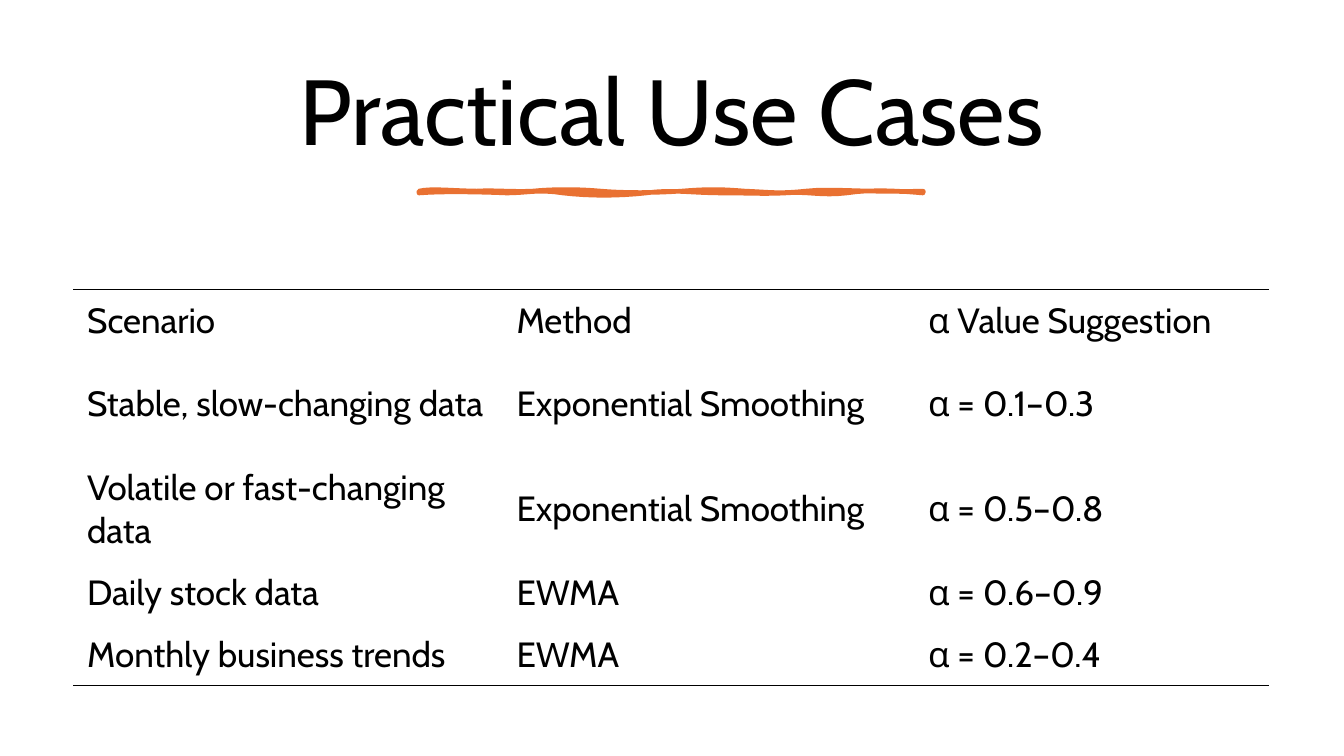
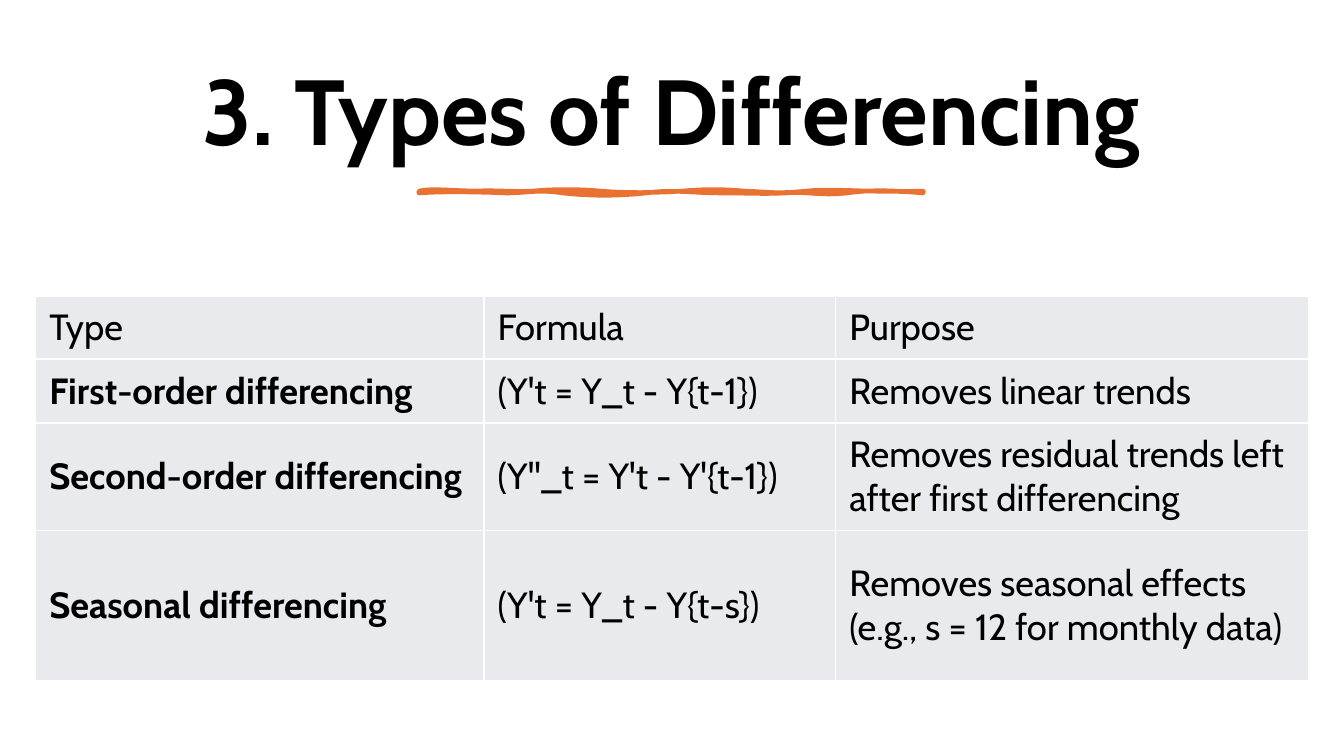
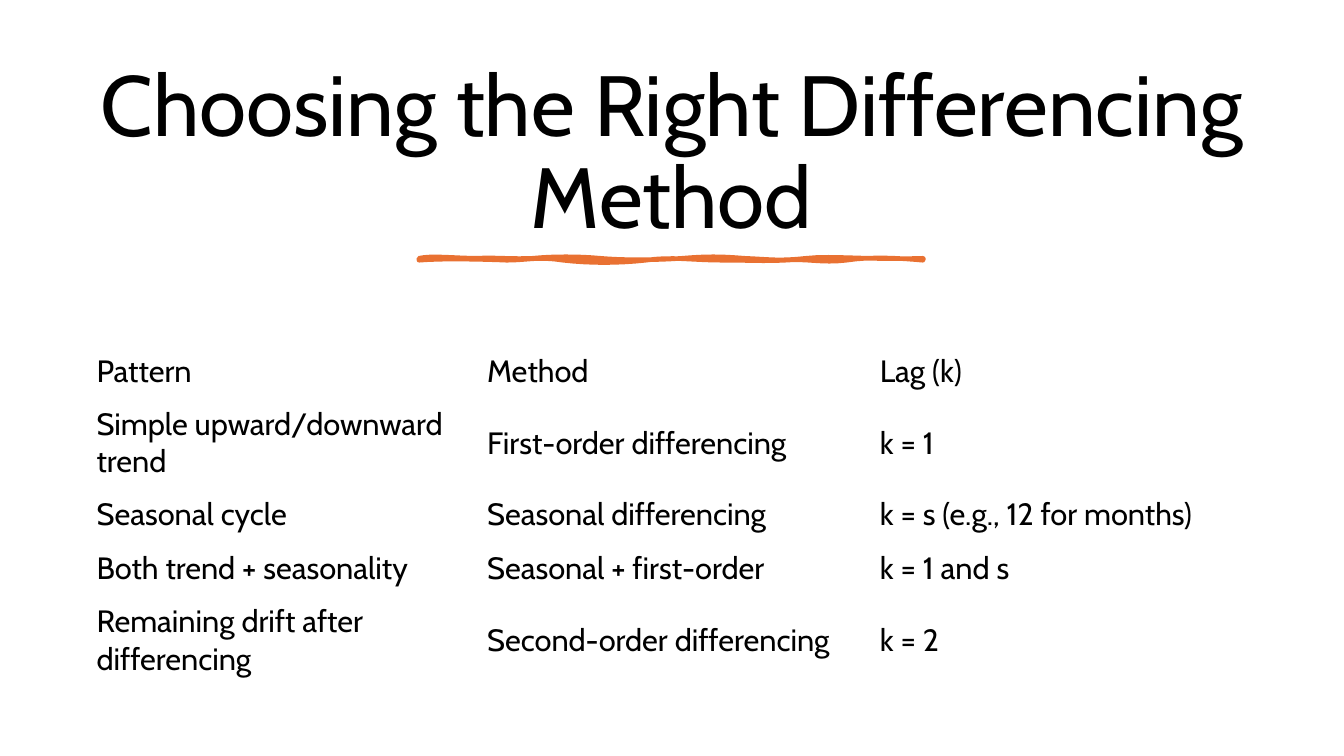
from dataclasses import dataclass

from pptx import Presentation
from pptx.dml.color import RGBColor
from pptx.enum.text import MSO_ANCHOR, PP_ALIGN
from pptx.oxml import parse_xml
from pptx.oxml.ns import nsdecls, qn
from pptx.util import Pt

PX = 9525  # EMU per px, 96 px to the inch
NO_STYLE = "{2D5ABB26-0587-4C30-8999-92F81FD0307C}"

# Brush stroke outline: cubic segments in hundredths of an inch from its corner
STROKE_START = (0, 0)
STROKE = [
    (12, -3, 38, 0, 57, 0), (76, -1, 93, 1, 113, 0),
    (133, -2, 158, -2, 180, 0), (201, 2, 237, 2, 261, 0),
    (286, -2, 298, -2, 323, 0), (347, 1, 358, 3, 384, 0),
    (410, -3, 451, 2, 500, 0), (501, 1, 500, 1, 500, 2),
    (479, 0, 449, -2, 424, 2), (399, 5, 385, 0, 363, 2),
    (340, 3, 331, 2, 301, 2), (271, 2, 251, -2, 225, 2),
    (198, 5, 169, 5, 143, 2), (118, -2, 107, 2, 87, 2),
    (67, 1, 22, 0, 0, 2), (0, 1, 0, 0, 0, 0),
]


@dataclass(frozen=True)
class Theme:
    font: str = "Cabin"
    text: str = "000000"
    accent: str = "E97132"
    panel: str = "E8EAED"
    grid: str = "FFFFFF"
    title_size: int = 66
    long_title_size: int = 61
    stroke_width: float = 3.25
    border_width: int = 1


def stroke_points(steps=8):
    """Sample the cubic segments of the brush stroke."""
    x0, y0 = STROKE_START
    for x1, y1, x2, y2, x3, y3 in STROKE:
        for i in range(1, steps + 1):
            t = i / steps
            u = 1 - t
            a, b, c, d = u ** 3, 3 * u * u * t, 3 * u * t * t, t ** 3
            yield (a * x0 + b * x1 + c * x2 + d * x3,
                   a * y0 + b * y1 + c * y2 + d * y3)
        x0, y0 = x3, y3


class Deck:
    def __init__(self, theme):
        self.theme = theme
        self.prs = Presentation()
        self.prs.slide_width, self.prs.slide_height = 1280 * PX, 720 * PX
        self.s = None

    def slide(self):
        self.s = self.prs.slides.add_slide(self.prs.slide_layouts[6])

    def style(self, p, size, bold=False):
        for r in p.runs:
            r.font.name, r.font.size, r.font.bold = self.theme.font, Pt(size), bold
            r.font.color.rgb = RGBColor.from_string(self.theme.text)

    def title(self, text, size, top=44, height=132, anchor=MSO_ANCHOR.MIDDLE, bold=False):
        sp = self.s.shapes.add_textbox(67 * PX, top * PX, 1145 * PX, height * PX)
        tf = sp.text_frame
        tf.word_wrap = True
        tf.vertical_anchor = anchor
        p = tf.paragraphs[0]
        p.text = text
        p.alignment = PP_ALIGN.CENTER
        p.line_spacing = 0.9
        self.style(p, size, bold)

    def underline(self, top, left=399):
        unit = PX * 96 / 100
        points = [(left * PX + x * unit, top * PX + y * unit) for x, y in stroke_points()]
        fb = self.s.shapes.build_freeform(left * PX, top * PX, scale=1.0)
        fb.add_line_segments(points, close=True)
        sp = fb.convert_to_shape()
        sp.shadow.inherit = False
        color = RGBColor.from_string(self.theme.accent)
        sp.fill.solid()
        sp.fill.fore_color.rgb = color
        sp.line.color.rgb = color
        sp.line.width = Pt(self.theme.stroke_width)

    def border(self, cell, sides, color):
        # The schema wants the sides in the order L, R, T, B
        for side in sides:
            cell._tc.get_or_add_tcPr().append(parse_xml(
                f'<a:ln{side} {nsdecls("a")} w="{Pt(self.theme.border_width)}"><a:solidFill>'
                f'<a:srgbClr val="{color}"/></a:solidFill></a:ln{side}>'))

    def table(self, left, top, cols, heights, rows, size, inset=(13, 7),
              fill=None, rules=False, bold_first=False):
        frame = self.s.shapes.add_table(len(rows), len(cols), left * PX, top * PX,
                                        sum(cols) * PX, sum(heights) * PX)
        tbl = frame.table
        tbl.first_row = tbl.horz_banding = False
        tbl._tbl.tblPr.find(qn("a:tableStyleId")).text = NO_STYLE
        for col, width in zip(tbl.columns, cols):
            col.width = width * PX
        for i, (row, height) in enumerate(zip(rows, heights)):
            tbl.rows[i].height = height * PX
            for j, text in enumerate(row):
                cell = tbl.cell(i, j)
                cell.margin_left = cell.margin_right = inset[0] * PX
                cell.margin_top = cell.margin_bottom = inset[1] * PX
                cell.vertical_anchor = MSO_ANCHOR.MIDDLE
                if rules and i in (0, len(rows) - 1):
                    self.border(cell, "B" if i else "T", self.theme.text)
                if fill:
                    self.border(cell, "LRTB", self.theme.grid)
                    cell.fill.solid()
                    cell.fill.fore_color.rgb = RGBColor.from_string(fill)
                else:
                    cell.fill.background()
                p = cell.text_frame.paragraphs[0]
                p.text = text
                self.style(p, size, bold_first and i > 0 and j == 0)


def main():
    theme = Theme()
    deck = Deck(theme)

    # Practical use cases
    deck.slide()
    deck.title("Practical Use Cases", theme.title_size)
    deck.underline(182)
    deck.table(70, 276, (409, 392, 338), (59, 100, 100, 59, 59), [
        ("Scenario", "Method", "α Value Suggestion"),
        ("Stable, slow-changing data", "Exponential Smoothing", "α = 0.1–0.3"),
        ("Volatile or fast-changing data", "Exponential Smoothing", "α = 0.5–0.8"),
        ("Daily stock data", "EWMA", "α = 0.6–0.9"),
        ("Monthly business trends", "EWMA", "α = 0.2–0.4"),
    ], 25, rules=True)

    # Types of differencing
    deck.slide()
    deck.title("3. Types of Differencing", theme.title_size, bold=True)
    deck.underline(182)
    deck.table(34, 282, (427, 335, 450), (60, 61, 102, 143), [
        ("Type", "Formula", "Purpose"),
        ("First-order differencing", "(Y't = Y_t - Y{t-1})", "Removes linear trends"),
        ("Second-order differencing", "(Y''_t = Y't - Y'{t-1})",
         "Removes residual trends left after first differencing"),
        ("Seasonal differencing", "(Y't = Y_t - Y{t-s})",
         "Removes seasonal effects (e.g., s = 12 for monthly data)"),
    ], 26, fill=theme.panel, bold_first=True)

    # Choosing a method
    deck.slide()
    deck.title("Choosing the Right Differencing Method", theme.long_title_size,
               top=48, height=192, anchor=MSO_ANCHOR.BOTTOM)
    deck.underline(246)
    deck.table(80, 328, (372, 374, 372), (51, 86, 51, 51, 86), [
        ("Pattern", "Method", "Lag (k)"),
        ("Simple upward/downward trend", "First-order differencing", "k = 1"),
        ("Seasonal cycle", "Seasonal differencing", "k = s (e.g., 12 for months)"),
        ("Both trend + seasonality", "Seasonal + first-order", "k = 1 and s"),
        ("Remaining drift after differencing", "Second-order differencing", "k = 2"),
    ], 22, inset=(12, 6))

    deck.prs.save("out.pptx")


if __name__ == "__main__":
    main()
